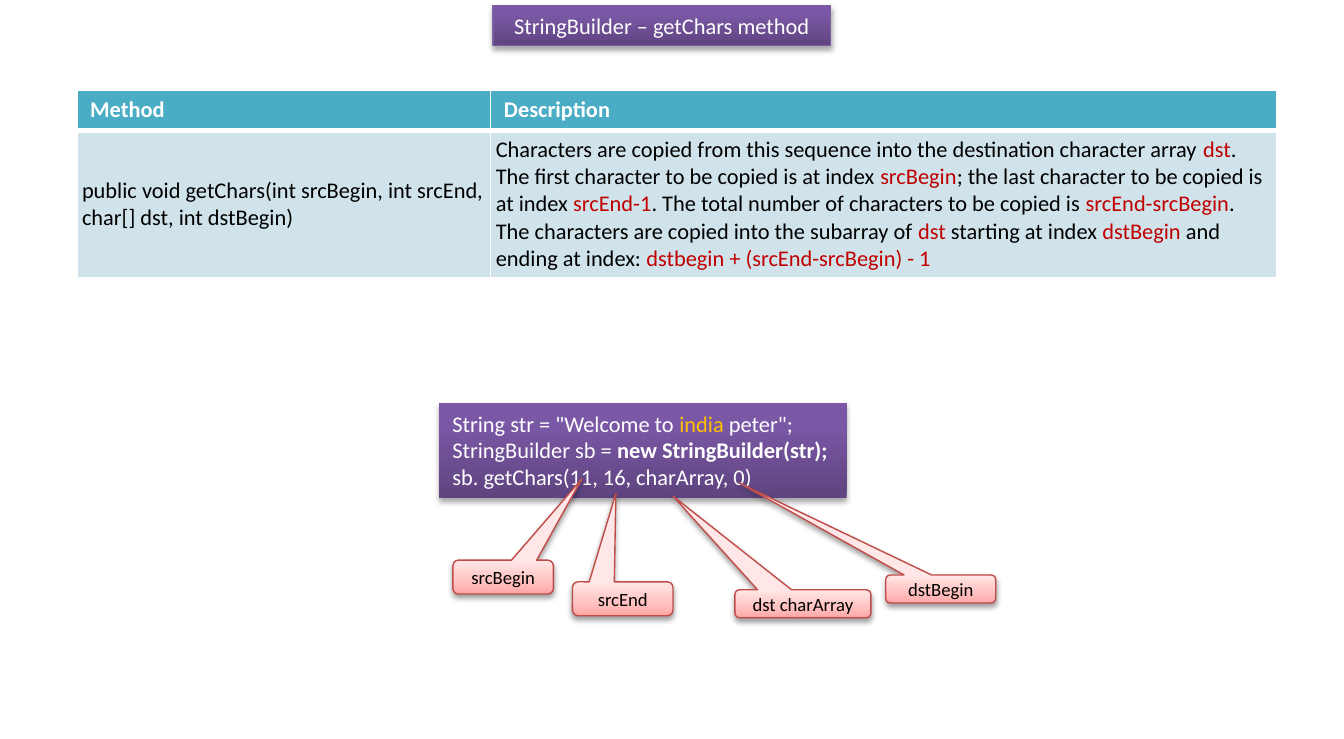
from dataclasses import dataclass

from lxml.etree import SubElement
from pptx import Presentation
from pptx.dml.color import RGBColor
from pptx.enum.shapes import MSO_SHAPE
from pptx.enum.text import MSO_ANCHOR, MSO_AUTO_SIZE, PP_ALIGN
from pptx.oxml.ns import qn
from pptx.util import Cm, Pt


@dataclass(frozen=True)
class Theme:
    font: str = "Calibri"
    body_size: int = 12
    label_size: int = 10
    white: str = "FFFFFF"
    black: str = "000000"
    red: str = "C00000"
    amber: str = "FFC000"
    header_fill: str = "4BACC6"
    row_fill: str = "D0E3EA"
    purple_line: str = "7D60A0"
    pink_line: str = "BF4C48"
    purple_stops: tuple = ((0, "5F4480"), (80, "7B58A6"), (100, "7C57A8"))
    pink_stops: tuple = ((0, "FFA6A5"), (35, "FFC0BF"), (100, "FFE7E7"))


THEME = Theme()

# Every second piece is a highlighted parameter name.
DESCRIPTION = (
    "Characters are copied from this sequence into the destination character array ", "dst",
    ". The first character to be copied is at index ", "srcBegin",
    "; the last character to be copied is at index ", "srcEnd-1",
    ". The total number of characters to be copied is ", "srcEnd-srcBegin",
    ". The characters are copied into the subarray of ", "dst",
    " starting at index ", "dstBegin",
    " and ending at index: ", "dstbegin + (srcEnd-srcBegin) - 1",
)
SIGNATURE = "public void getChars(int srcBegin, int srcEnd, char[] dst, int dstBegin)"

# Label, box (left, top, width, height) and tip (x, y), in cm.
CALLOUTS = (
    ("srcBegin", (8.56, 10.59, 1.9, 0.64), (11, 9.05)),
    ("srcEnd", (10.82, 11, 1.9, 0.64), (11.64, 9.33)),
    ("dst charArray", (13.89, 11.15, 2.57, 0.53), (12.72, 9.38)),
    ("dstBegin", (16.74, 10.87, 2.08, 0.53), (13.97, 9.13)),
)


def cm_box(box):
    return [Cm(length) for length in box]


def write(para, pieces, color, size=THEME.body_size, bold=False, align=PP_ALIGN.LEFT):
    """Fill a paragraph with (text, colour, bold) pieces; None keeps its own font."""
    para.alignment = align
    font = para.font
    font.name, font.size, font.bold = THEME.font, Pt(size), bold
    font.color.rgb = RGBColor.from_string(color)
    for text, span_color, span_bold in pieces:
        span = para.add_run()
        span.text = text
        if span_color:
            span.font.color.rgb = RGBColor.from_string(span_color)
        if span_bold:
            span.font.bold = True


def plain(text):
    return [(text, None, None)]


def add_color(parent, color, alpha=None):
    node = SubElement(parent, qn("a:srgbClr"), val=color)
    if alpha:
        SubElement(node, qn("a:alpha"), val=str(alpha * 1000))


def style_panel(shape, stops, line, shadow_alpha, shadow_distance):
    """Give a shape a vertical gradient, an optional outline and a soft shadow."""
    shape.fill.gradient()
    shape.fill.gradient_angle = 90
    stop_list = shape.element.spPr.find(".//" + qn("a:gsLst"))
    for old_stop in list(stop_list):
        stop_list.remove(old_stop)
    for position, color in stops:
        add_color(SubElement(stop_list, qn("a:gs"), pos=str(position * 1000)), color)
    if line:
        shape.line.color.rgb = RGBColor.from_string(line)
        shape.line.width = Pt(0.75)
    else:
        shape.line.fill.background()
    shape.shadow.inherit = False
    effects = shape.element.spPr.find(qn("a:effectLst"))
    shadow = SubElement(effects, qn("a:outerShdw"), blurRad=str(Pt(3.1)),
                        dist=str(Pt(shadow_distance)), dir="5400000", rotWithShape="0")
    add_color(shadow, THEME.black, shadow_alpha)


def place_title(page, box):
    title = page.shapes.title
    title.left, title.top, title.width, title.height = cm_box(box)
    style_panel(title, THEME.purple_stops, THEME.purple_line, 35, 1.8)
    frame = title.text_frame
    frame.auto_size = MSO_AUTO_SIZE.NONE
    frame.vertical_anchor = MSO_ANCHOR.MIDDLE
    write(frame.paragraphs[0], plain("StringBuilder – getChars method"), THEME.white,
          align=PP_ALIGN.CENTER)


def set_borders(cell, bottom_width):
    properties = cell._tc.get_or_add_tcPr()
    for index, (side, width) in enumerate(
            (("L", 1), ("R", 1), ("T", 1), ("B", bottom_width))):
        line = properties.makeelement(qn("a:ln" + side), {"w": str(Pt(width))})
        add_color(SubElement(line, qn("a:solidFill")), THEME.white)
        properties.insert(index, line)


def place_method_table(page, box, first_column, header_height):
    left, top, width, height = box
    table = page.shapes.add_table(2, 2, *cm_box(box)).table
    for column, size in zip(table.columns, (first_column, width - first_column)):
        column.width = Cm(size)
    for row, size in zip(table.rows, (header_height, height - header_height)):
        row.height = Cm(size)
    description = [(text, THEME.red if index % 2 else THEME.black, None)
                   for index, text in enumerate(DESCRIPTION)]
    contents = ((plain("Method"), plain("Description")), (plain(SIGNATURE), description))
    for row_index, row in enumerate(contents):
        header = row_index == 0
        for column_index, pieces in enumerate(row):
            cell = table.cell(row_index, column_index)
            cell.fill.solid()
            cell.fill.fore_color.rgb = RGBColor.from_string(
                THEME.header_fill if header else THEME.row_fill)
            set_borders(cell, 3 if header else 1)
            if not header:
                cell.vertical_anchor = MSO_ANCHOR.MIDDLE
                cell.margin_left = cell.margin_right = Cm(0.1)
                cell.margin_top = cell.margin_bottom = Cm(0.1)
            write(cell.text_frame.paragraphs[0], pieces,
                  THEME.white if header else THEME.black, bold=header)


def place_code(page, box):
    panel = page.shapes.add_shape(MSO_SHAPE.RECTANGLE, *cm_box(box))
    style_panel(panel, THEME.purple_stops, None, 35, 1.8)
    frame = panel.text_frame
    frame.word_wrap = False
    frame.auto_size = MSO_AUTO_SIZE.SHAPE_TO_FIT_TEXT
    frame.vertical_anchor = MSO_ANCHOR.TOP
    lines = (
        [('String str = "Welcome to ', None, None), ("india ", THEME.amber, None),
         ('peter";', None, None)],
        [("StringBuilder sb = ", None, None), ("new StringBuilder(str);", None, True)],
        plain("sb. getChars(11, 16, charArray, 0)"),
    )
    for index, pieces in enumerate(lines):
        para = frame.add_paragraph() if index else frame.paragraphs[0]
        write(para, pieces, THEME.white)


def place_callout(page, label, box, tip):
    left, top, width, height = box
    callout = page.shapes.add_shape(MSO_SHAPE.ROUNDED_RECTANGULAR_CALLOUT, *cm_box(box))
    callout.adjustments[0] = (tip[0] - left) / width - 0.5
    callout.adjustments[1] = (tip[1] - top) / height - 0.5
    style_panel(callout, THEME.pink_stops, THEME.pink_line, 38, 1.6)
    callout.text_frame.vertical_anchor = MSO_ANCHOR.MIDDLE
    write(callout.text_frame.paragraphs[0], plain(label), THEME.black,
          size=THEME.label_size, align=PP_ALIGN.CENTER)


def main():
    deck = Presentation()
    deck.slide_width, deck.slide_height = Cm(25.4), Cm(13.97)
    page = deck.slides.add_slide(deck.slide_layouts.get_by_name("Title Only"))
    place_title(page, (9.32, 0.1, 6.38, 0.76))
    place_method_table(page, (1.45, 1.7, 22.68, 3.5), first_column=7.82, header_height=0.76)
    place_code(page, (8.3, 7.62, 7.7, 1.8))
    for label, box, tip in CALLOUTS:
        place_callout(page, label, box, tip)
    deck.save("out.pptx")


if __name__ == "__main__":
    main()
